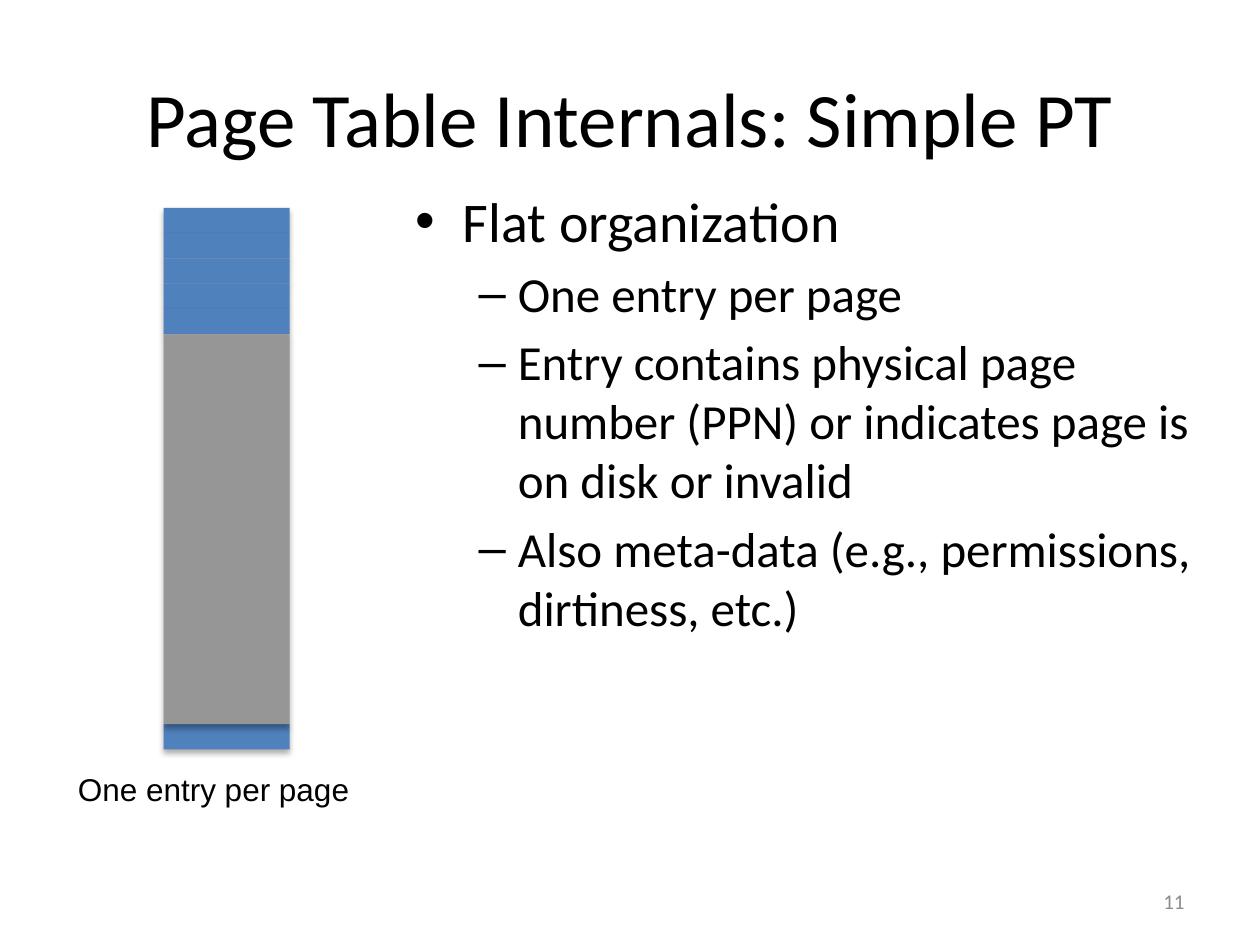
from dataclasses import dataclass

from lxml.etree import SubElement
from pptx import Presentation
from pptx.dml.color import RGBColor
from pptx.enum.shapes import MSO_SHAPE
from pptx.enum.text import MSO_ANCHOR, PP_ALIGN
from pptx.oxml.ns import qn
from pptx.util import Cm, Pt


@dataclass(frozen=True)
class Theme:
    text: RGBColor = RGBColor(0x00, 0x00, 0x00)
    muted: RGBColor = RGBColor(0x8C, 0x8C, 0x8C)
    entry: RGBColor = RGBColor(0x4F, 0x81, 0xBD)
    middle: RGBColor = RGBColor(0x96, 0x96, 0x96)
    font: str = "Calibri"
    caption_font: str = "Arial"
    title_size: int = 44
    level_sizes: tuple = (32, 28)
    caption_size: int = 18
    number_size: int = 12


THEME = Theme()

# Bullet, left margin and hanging indent for each outline level
LEVELS = (("•", Cm(0.95), Cm(0.95)), ("–", Cm(2.06), Cm(0.79)))

OUTLINE = (
    (0, "Flat organization"),
    (1, "One entry per page"),
    (1, "Entry contains physical page number (PPN) or indicates page is on disk or invalid"),
    (1, "Also meta-data (e.g., permissions, dirtiness, etc.)"),
)


def format_paragraph(paragraph, size, color=THEME.text, font=THEME.font, align=PP_ALIGN.LEFT):
    paragraph.alignment = align
    for run in paragraph.runs:
        run.font.size = Pt(size)
        run.font.name = font
        run.font.color.rgb = color


def add_title(slide, left, top, width, height):
    title = slide.shapes.title
    title.left, title.top, title.width, title.height = left, top, width, height
    title.text_frame.text = "Page Table Internals: Simple PT"
    title.text_frame.vertical_anchor = MSO_ANCHOR.MIDDLE
    format_paragraph(title.text_frame.paragraphs[0], THEME.title_size, align=PP_ALIGN.CENTER)


def add_label(slide, text, left, top, width, height, wrap=True, **style):
    text_frame = slide.shapes.add_textbox(left, top, width, height).text_frame
    text_frame.word_wrap = wrap
    text_frame.text = text
    format_paragraph(text_frame.paragraphs[0], **style)
    return text_frame


def add_outline(slide, left, top, width, height):
    text_frame = slide.shapes.add_textbox(left, top, width, height).text_frame
    text_frame.word_wrap = True
    text_frame.text = "\n".join(text for _, text in OUTLINE)
    for paragraph, (level, _) in zip(text_frame.paragraphs, OUTLINE):
        bullet, margin, hanging = LEVELS[level]
        size = THEME.level_sizes[level]
        paragraph.level = level
        paragraph.space_before = Pt(round(size * 0.2, 1))
        format_paragraph(paragraph, size)
        properties = paragraph._p.get_or_add_pPr()
        properties.set("marL", str(margin))
        properties.set("indent", str(-hanging))
        SubElement(properties, qn("a:buFont"), typeface="Arial")
        SubElement(properties, qn("a:buChar"), char=bullet)


def add_block(slide, left, top, width, height, color):
    block = slide.shapes.add_shape(MSO_SHAPE.RECTANGLE, left, top, width, height)
    block.fill.solid()
    block.fill.fore_color.rgb = color
    block.line.fill.background()
    # Soft shadow straight below the block
    block.shadow.inherit = False
    effects = block._element.spPr.find(qn("a:effectLst"))
    shadow = SubElement(effects, qn("a:outerShdw"), blurRad=str(Pt(3.5)), dist=str(Pt(2.2)),
                        dir="5400000", rotWithShape="0")
    shadow_color = SubElement(shadow, qn("a:srgbClr"), val="000000")
    SubElement(shadow_color, qn("a:alpha"), val="32000")


def add_page_table(slide, left, top, width, height):
    entry_height = Cm(0.51)
    first_entries = 5
    last_top = top + height - entry_height
    middle_top = top + first_entries * entry_height

    # Entries at the start and the end, then the stretch between them
    entry_tops = [top + index * entry_height for index in range(first_entries)]
    for entry_top in entry_tops + [last_top]:
        add_block(slide, left, entry_top, width, entry_height, THEME.entry)
    add_block(slide, left, middle_top, width, last_top - middle_top, THEME.middle)

    # Caption below the table
    add_label(slide, "One entry per page", left - Cm(1.98), top + height + Cm(0.28),
              Cm(6.05), Cm(1.02), wrap=False,
              size=THEME.caption_size, font=THEME.caption_font)


def add_slide_number(slide, left, top, width, height):
    text_frame = add_label(slide, "11", left, top, width, height, size=THEME.number_size,
                           color=THEME.muted, align=PP_ALIGN.RIGHT)
    text_frame.vertical_anchor = MSO_ANCHOR.MIDDLE


def main():
    presentation = Presentation()
    presentation.slide_width = Cm(25.4)
    presentation.slide_height = Cm(19.05)
    title_only = presentation.slide_layouts[5]
    slide = presentation.slides.add_slide(title_only)

    add_title(slide, Cm(1.27), Cm(0.76), Cm(22.86), Cm(3.18))
    add_outline(slide, Cm(8.13), Cm(3.63), Cm(16.15), Cm(13.92))
    add_page_table(slide, Cm(3.3), Cm(4.19), Cm(2.54), Cm(10.92))
    add_slide_number(slide, Cm(18.21), Cm(17.65), Cm(5.92), Cm(1.02))

    presentation.save("out.pptx")


if __name__ == "__main__":
    main()
